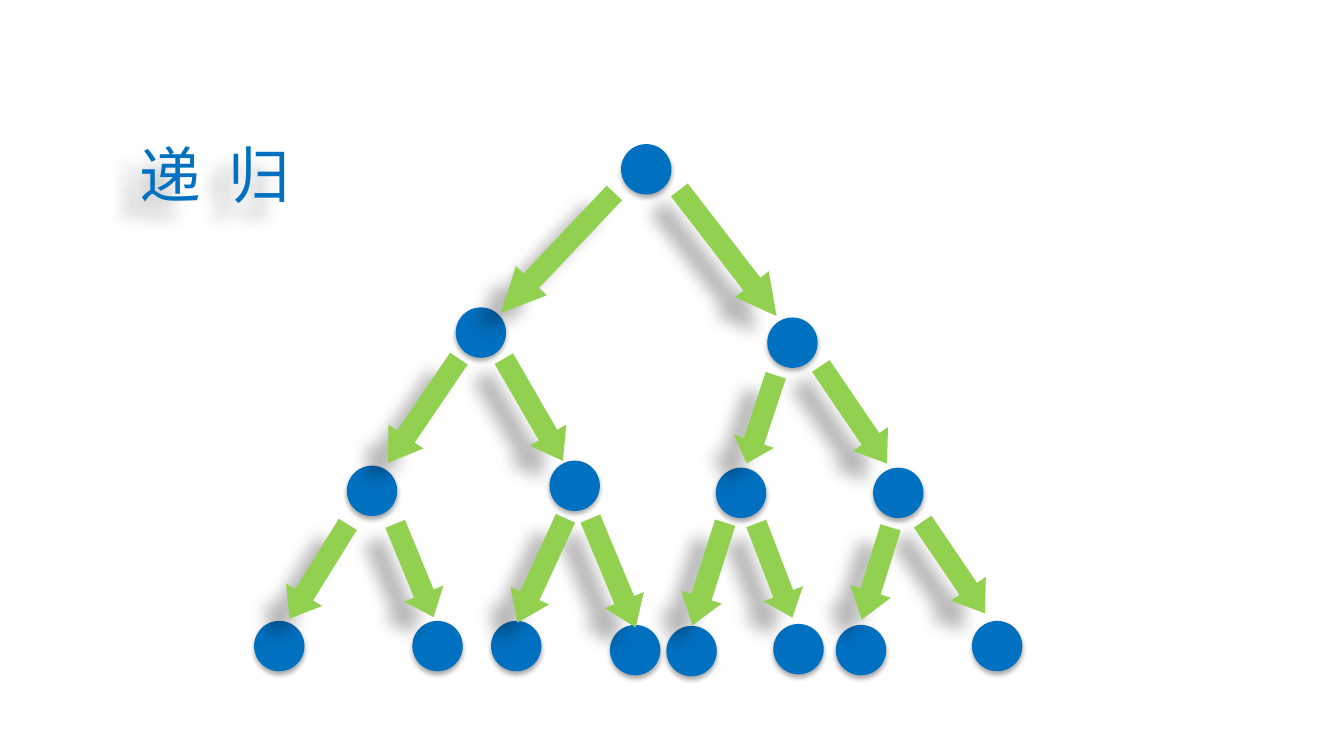
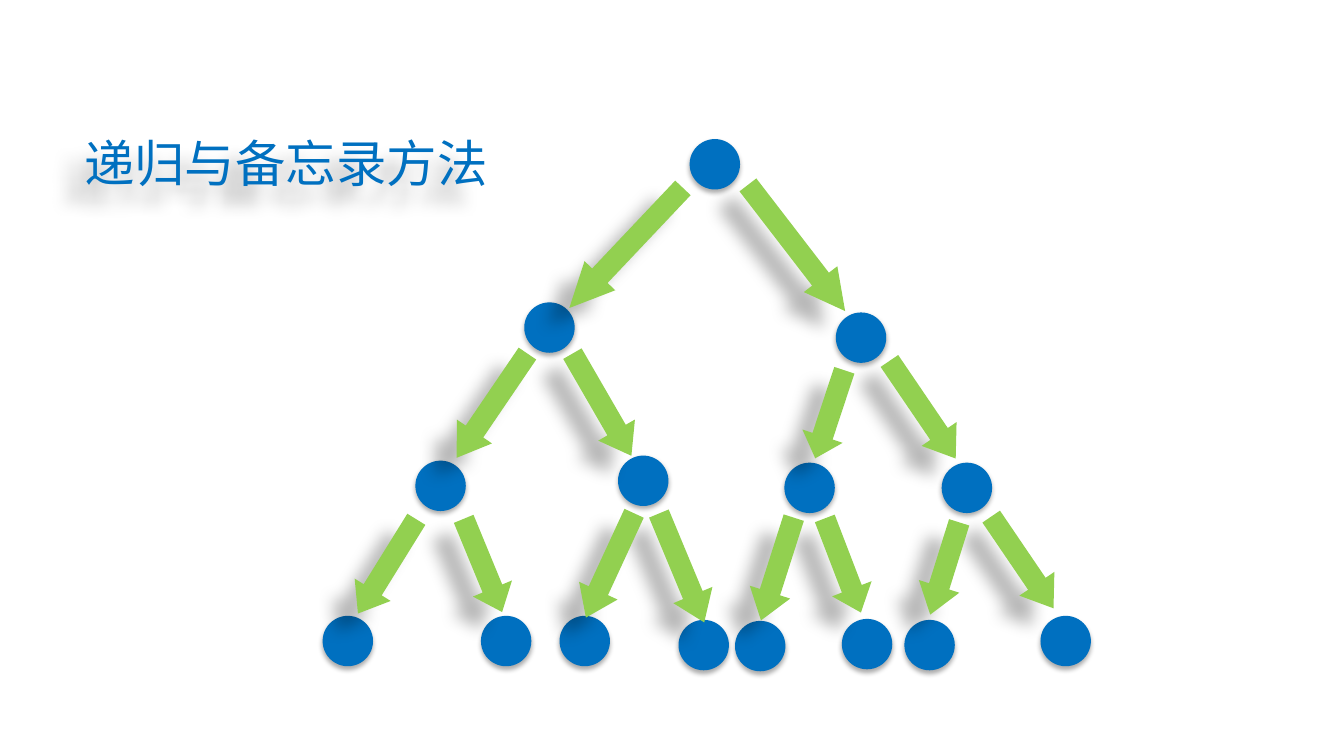
from typing import NamedTuple

import pptx
import pptx.dml.color
import pptx.enum.shapes
import pptx.enum.text
import pptx.oxml
import pptx.oxml.ns
import pptx.util

SCALE = 9144  # EMU per px, 100 px to the inch
BLUE = pptx.dml.color.RGBColor(0x00, 0x70, 0xC0)
GREEN = pptx.dml.color.RGBColor(0x92, 0xD0, 0x50)
BLACK = pptx.dml.color.RGBColor(0x00, 0x00, 0x00)
FONT = "Noto Sans CJK SC"
KINDS = pptx.enum.shapes.MSO_SHAPE
NODE = 50
SHAFT = 42


class Shade(NamedTuple):
    alpha: int
    blur: float
    dist: float
    angle: int


class Box(NamedTuple):
    left: int
    top: int
    width: int
    height: int


class Arrow(NamedTuple):
    left: int
    top: int
    length: int
    turn: float
    head: float


class Page(NamedTuple):
    title: str
    box: Box
    size: int
    gap: int
    dx: int
    dy: int


SOFT = Shade(32, 3.5, 2.2, 90)
LONG = Shade(28, 11.8, 19.7, 141)

NODES = (
    (616, 143),
    (452, 305), (761, 315),
    (344, 462), (545, 457), (710, 464), (866, 464),
    (252, 616), (409, 616), (487, 616), (605, 620),
    (661, 621), (767, 619), (829, 620), (964, 616),
)
ARROWS = (
    Arrow(532, 169, 164, 43.4, 1.05),
    Arrow(399, 345, 125, 34.2, 0.75),
    Arrow(295, 512, 110, 31.8, 0.66),
    Arrow(390, 516, 100, 337.6, 0.6),
    Arrow(701, 172, 158, 322.4, 0.95),
    Arrow(826, 353, 117, 325.8, 0.7),
    Arrow(734, 370, 92, 18.3, 0.55),
    Arrow(508, 348, 117, 330, 0.7),
    Arrow(925, 508, 110, 325.8, 0.7),
    Arrow(848, 521, 96, 17.4, 0.7),
    Arrow(747, 516, 100, 339, 0.6),
    Arrow(682, 516, 107, 17.7, 0.7),
    Arrow(587, 510, 117, 337.4, 0.7),
    Arrow(516, 509, 114, 24.8, 0.7),
)
PAGES = (
    Page("递 归", Box(111, 130, 204, 84), 44, 5, 0, 0),
    Page("递归与备忘录方法", Box(71, 126, 425, 71), 36, 0, 68, -5),
)


def px(count: int) -> pptx.util.Emu:
    return pptx.util.Emu(count * SCALE)


def cast(shape, shade: Shade) -> None:
    """Give the shape an outer shadow that does not turn with it."""
    shape.shadow.inherit = False
    effects = shape._element.spPr.find(pptx.oxml.ns.qn("a:effectLst"))
    effects.append(pptx.oxml.parse_xml(
        f'<a:outerShdw {pptx.oxml.ns.nsdecls("a")}'
        f' blurRad="{pptx.util.Pt(shade.blur)}" dist="{pptx.util.Pt(shade.dist)}"'
        f' dir="{shade.angle * 60000}" algn="ctr" rotWithShape="0">'
        f'<a:srgbClr val="{BLACK}"><a:alpha val="{shade.alpha * 1000}"/></a:srgbClr>'
        '</a:outerShdw>'))


def write(shape, text: str, *, size: int, color=BLUE, font: str = FONT, gap: int = 0) -> None:
    """Set centred text; gap is extra letter spacing in points."""
    frame = shape.text_frame
    frame.word_wrap = True
    frame.auto_size = pptx.enum.text.MSO_AUTO_SIZE.NONE
    frame.vertical_anchor = pptx.enum.text.MSO_ANCHOR.MIDDLE
    para = frame.paragraphs[0]
    para.alignment = pptx.enum.text.PP_ALIGN.CENTER
    para.line_spacing = 1.0
    run = para.add_run()
    run.text = text
    run.font.size = pptx.util.Pt(size)
    run.font.bold = False
    run.font.color.rgb = color
    run.font.name = font
    props = run.font._element
    if gap:
        props.set("spc", str(gap * 100))
    east = pptx.oxml.parse_xml(
        f'<a:ea {pptx.oxml.ns.nsdecls("a")} typeface="{font}"/>')
    props.find(pptx.oxml.ns.qn("a:latin")).addnext(east)


def draw(slide, kind, box: Box, color, shade: Shade):
    shape = slide.shapes.add_shape(kind, *map(px, box))
    shape.fill.solid()
    shape.fill.fore_color.rgb = color
    shape.line.fill.background()
    cast(shape, shade)
    return shape


def tree(slide, dx: int, dy: int) -> None:
    """Draw the call tree, moved by dx and dy."""
    for left, top in NODES:
        draw(slide, KINDS.OVAL, Box(left + dx, top + dy, NODE, NODE), BLUE, SOFT)
    for item in ARROWS:
        box = Box(item.left + dx, item.top + dy, SHAFT, item.length)
        arrow = draw(slide, KINDS.DOWN_ARROW, box, GREEN, LONG)
        arrow.adjustments[1] = item.head
        arrow.rotation = item.turn


def head(slide, page: Page) -> None:
    """Place and format the title."""
    title = slide.shapes.title
    title.left, title.top, title.width, title.height = map(px, page.box)
    title.fill.background()
    cast(title, LONG)
    write(title, page.title, size=page.size, gap=page.gap)


def main() -> None:
    deck = pptx.Presentation()
    deck.slide_width, deck.slide_height = px(1333), px(750)
    for page in PAGES:
        slide = deck.slides.add_slide(deck.slide_layouts[5])
        head(slide, page)
        tree(slide, page.dx, page.dy)
    deck.save("out.pptx")


if __name__ == "__main__":
    main()
